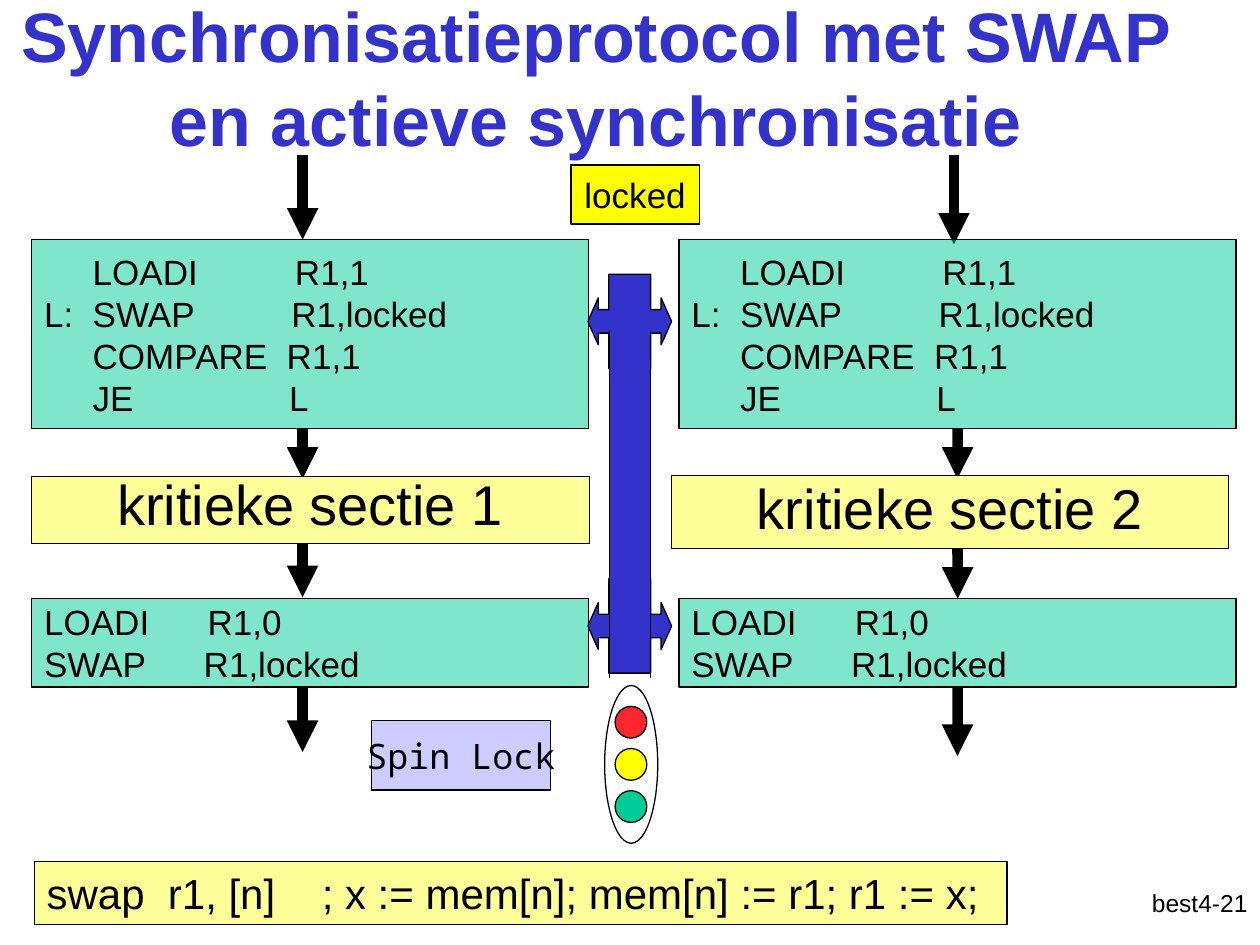
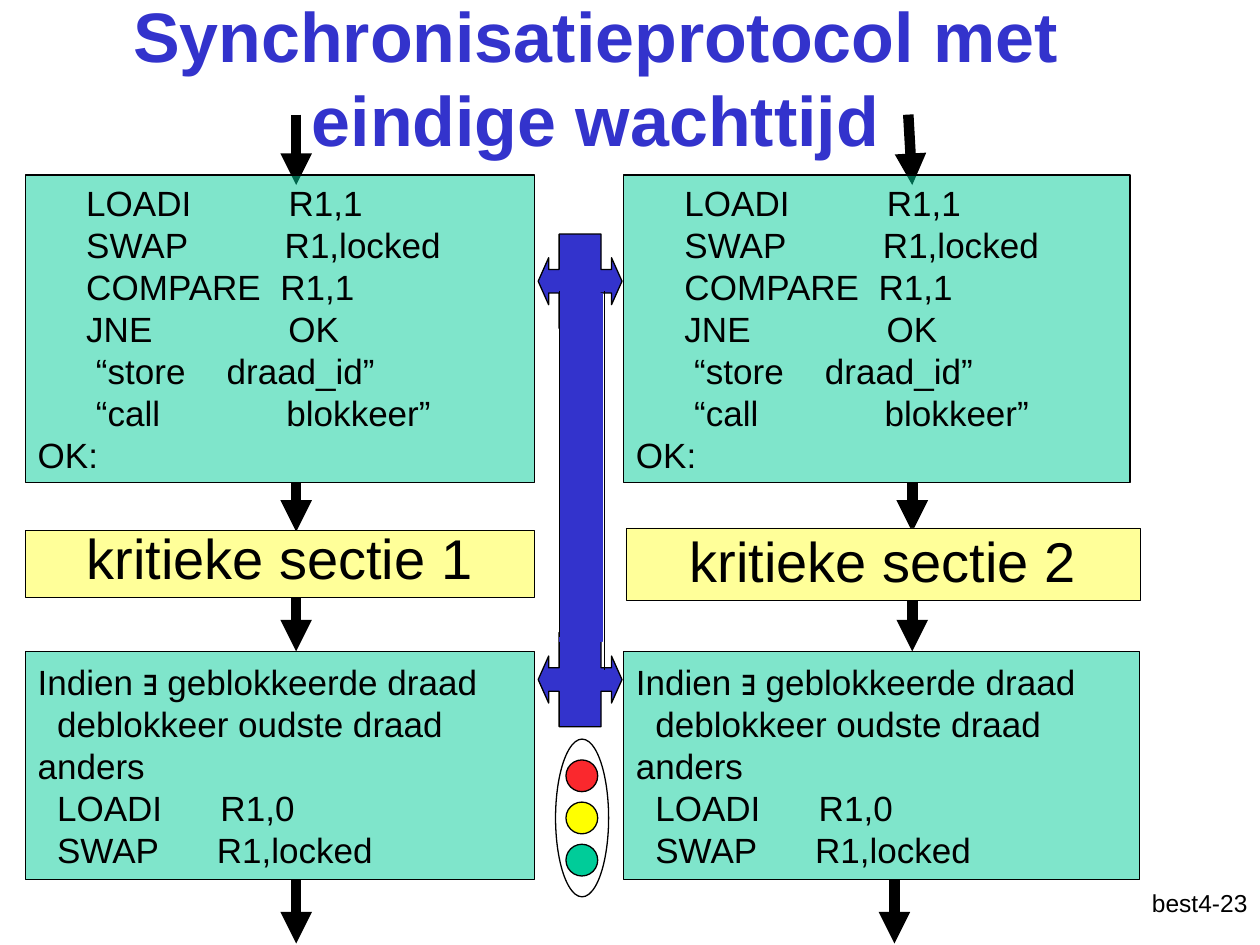
from pptx import Presentation
from pptx.dml.color import RGBColor
from pptx.enum import shapes, text
from pptx.oxml.ns import qn
from pptx.util import Cm, Pt
from lxml import etree

BLUE, BLACK, WHITE = "3333CC", "000000", "FFFFFF"
GREEN, YELLOW, PALE, LILAC, RED = "00CC99", "FFFF00", "FFFF99", "CCCCFF", "FA282D"
FONT = "Arial"
RECT, OVAL = shapes.MSO_SHAPE.RECTANGLE, shapes.MSO_SHAPE.OVAL
LEFT, MID, RIGHT = text.PP_ALIGN.LEFT, text.PP_ALIGN.CENTER, text.PP_ALIGN.RIGHT

ENTER_SWAP = [
    "     LOADI          R1,1",
    "L:  SWAP          R1,locked",
    "     COMPARE  R1,1",
    "     JE                L",
]
LEAVE_SWAP = ["LOADI      R1,0", "SWAP      R1,locked"]
ENTER_WAIT = [
    "     LOADI          R1,1",
    "     SWAP          R1,locked",
    "     COMPARE  R1,1",
    "     JNE              OK",
    "      “store \tdraad_id”",
    "      “call             blokkeer”",
    "OK:",
]
LEAVE_WAIT = [
    "Indien ∃ geblokkeerde draad",
    "  deblokkeer oudste draad",
    "anders",
    "  LOADI      R1,0",
    "  SWAP      R1,locked",
]


def color(code):
    return RGBColor.from_string(code)


def shape(host, kind, at, fill, line=BLACK, width=0.75):
    item = host.shapes.add_shape(kind, *map(Cm, at))
    item.shadow.inherit = False
    item.fill.solid()
    item.fill.fore_color.rgb = color(fill)
    item.line.color.rgb = color(line)
    item.line.width = Pt(width)
    return item


def write(item, lines, size, align=LEFT, ink=BLACK, font=FONT, bold=False,
          wrap=True, anchor=text.MSO_ANCHOR.MIDDLE, pitch=None):
    frame = item.text_frame
    frame.word_wrap = wrap
    frame.vertical_anchor = anchor
    for i, line in enumerate(lines):
        para = frame.paragraphs[0] if i == 0 else frame.add_paragraph()
        para.add_run().text = line
        para.alignment = align
        if pitch:
            para.line_spacing = pitch
        para.font.name = font
        para.font.size = Pt(size)
        para.font.bold = bold
        para.font.color.rgb = color(ink)


def label(slide, at, words, size, align, **style):
    write(slide.shapes.add_textbox(*map(Cm, at)), [words], size, align, **style)


def code(slide, at, lines):
    """Half-transparent green box with program lines."""
    item = shape(slide, RECT, at, GREEN)
    tint = item.fill._xPr.find(qn("a:solidFill"))[0]
    etree.SubElement(tint, qn("a:alpha")).set("val", "50000")
    write(item, lines, 20, wrap=False)
    return item


def line(slide, ends, width=0.75):
    item = slide.shapes.add_connector(shapes.MSO_CONNECTOR.STRAIGHT, *map(Cm, ends))
    item.line.color.rgb = color(BLACK)
    item.line.width = Pt(width)
    etree.SubElement(item._element.spPr, qn("a:effectLst"))
    return item


def arrow(slide, *ends):
    item = line(slide, ends, 6)
    tail = etree.SubElement(item.line._get_or_add_ln(), qn("a:tailEnd"))
    tail.set("type", "triangle")
    return item


def central(box, x):
    return abs(box.left + box.width / 2 - Cm(x)) < Cm(0.05)


def column(slide, name, enter, section, leave, pitch, x, top, gaps, out):
    """One thread: enter and leave are (place, lines); gaps are arrow heights."""
    arrow(slide, *top)
    first = code(slide, *enter)
    last = code(slide, *leave)
    (y1, y2), (y3, y4) = gaps
    into = arrow(slide, x, y1, x, y2)
    onto = arrow(slide, x, y3, x, y4)
    done = arrow(slide, *out)
    if central(first, x):
        into.begin_connect(first, 2)
    if central(last, x):
        onto.end_connect(last, 0)
    if central(last, out[0]):
        done.begin_connect(last, 2)
    box = shape(slide, RECT, section, PALE, width=0.25)
    write(box, [name], 32, MID, anchor=text.MSO_ANCHOR.TOP, pitch=pitch)


def spine(slide, x, tops, core, edges):
    """Vertical bar that links both threads through two double arrows."""
    for y in tops:
        cross = shape(slide, shapes.MSO_SHAPE.LEFT_RIGHT_ARROW_CALLOUT,
                      (x, y, 1.69, 1.9), BLUE)
        for i, part in enumerate((0.28, 0.28, 0.125, 0.5)):
            cross.adjustments[i] = part
    shape(slide, RECT, core, BLUE, BLUE)
    for edge in edges:
        line(slide, edge)


def light(slide, x, y):
    group = slide.shapes.add_group_shape()
    shape(group, OVAL, (x, y, 1.07, 3.18), WHITE)
    for i, fill in enumerate((RED, YELLOW, GREEN)):
        shape(group, OVAL, (x + 0.21, y + 0.42 + 0.85 * i, 0.64, 0.64), fill)


def page(deck, title, mark):
    slide = deck.slides.add_slide(deck.slide_layouts[6])
    label(slide, (20.12, 17.78, 5.28, 1.27), mark, 14, RIGHT,
          anchor=text.MSO_ANCHOR.TOP)
    label(slide, (-0.1, -0.05, 24.21, 3.18), title, 40, MID, ink=BLUE, bold=True)
    return slide


def swap(deck):
    slide = page(deck, "Synchronisatieprotocol met SWAP en actieve synchronisatie",
                 "best4-21")
    spine(slide, 11.85, (5.53, 11.67), (12.29, 7.24, 0.81, 5.61),
          [(x, 6.68, x, 13.67) for x in (12.28, 13.12)])
    light(slide, 12.19, 13.82)
    gaps = (8.64, 9.65), (10.44, 12.04)
    for name, left, section, pitch, x, top, out in (
        ("kritieke sectie 1", 0.64, (0.64, 9.6, 11.23, 1.35), 0.8,
         6.1, (6.1, 3.12, 6.1, 4.83), 15.16),
        ("kritieke sectie 2", 13.69, (13.54, 9.58, 11.23, 1.47), 0.9,
         19.3, (19.23, 3.12, 19.23, 4.93), 15.24),
    ):
        column(slide, name, ((left, 4.83, 11.23, 3.81), ENTER_SWAP), section,
               ((left, 12.07, 11.23, 1.78), LEAVE_SWAP), pitch,
               x, top, gaps, (x, 13.84, x, out))
    flag = shape(slide, RECT, (11.51, 3.33, 2.59, 1.19), YELLOW)
    write(flag, ["locked"], 20, MID, wrap=False)
    rule = shape(slide, RECT, (0.69, 17.37, 19.61, 1.27), PALE)
    write(rule, ["swap  r1, [n]    ; x := mem[n]; mem[n] := r1; r1 := x;"], 24,
          anchor=text.MSO_ANCHOR.TOP)
    spin = shape(slide, RECT, (7.49, 14.53, 3.61, 1.4), LILAC)
    write(spin, ["Spin Lock"], 20, MID, font="Noto Sans Mono", wrap=False)


def wait(deck):
    slide = page(deck, "Synchronisatieprotocol met eindige wachttijd", "best4-23")
    spine(slide, 10.85, (4.72, 12.75), (11.28, 5.92, 0.86, 7.01),
          [(11.28, 5.87, 11.28, 12.85), (12.19, 5.87, 12.19, 13.51)])
    light(slide, 11.2, 14.9)
    gaps = (9.73, 10.72), (11.53, 13.13)
    for name, left, wide, base, section, pitch, x, start, out in (
        ("kritieke sectie 1", 0.51, 10.26, 10.26, (0.51, 10.69, 10.26, 1.35), 0.8,
         5.97, 5.97, 5.97),
        ("kritieke sectie 2", 12.57, 10.21, 10.41, (12.62, 10.64, 10.36, 1.47), 0.9,
         18.39, 18.31, 18.03),
    ):
        column(slide, name, ((left, 3.53, wide, 6.2), ENTER_WAIT), section,
               ((left, 13.13, base, 4.6), LEAVE_WAIT), pitch,
               x, (start, 2.31, x, 3.73), gaps, (out, 17.73, out, 19.02))


def main():
    deck = Presentation()
    deck.slide_width, deck.slide_height = Cm(25.4), Cm(19.05)
    swap(deck)
    wait(deck)
    deck.save("out.pptx")


if __name__ == "__main__":
    main()
